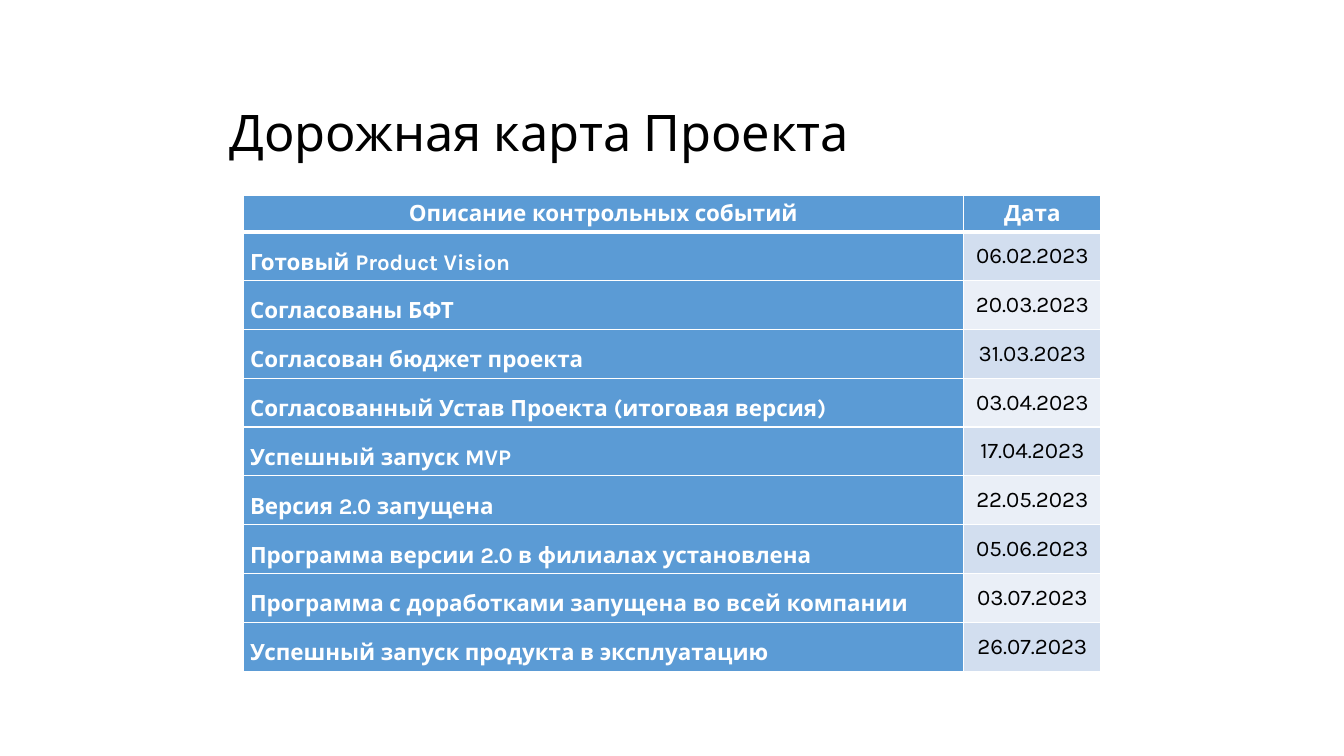
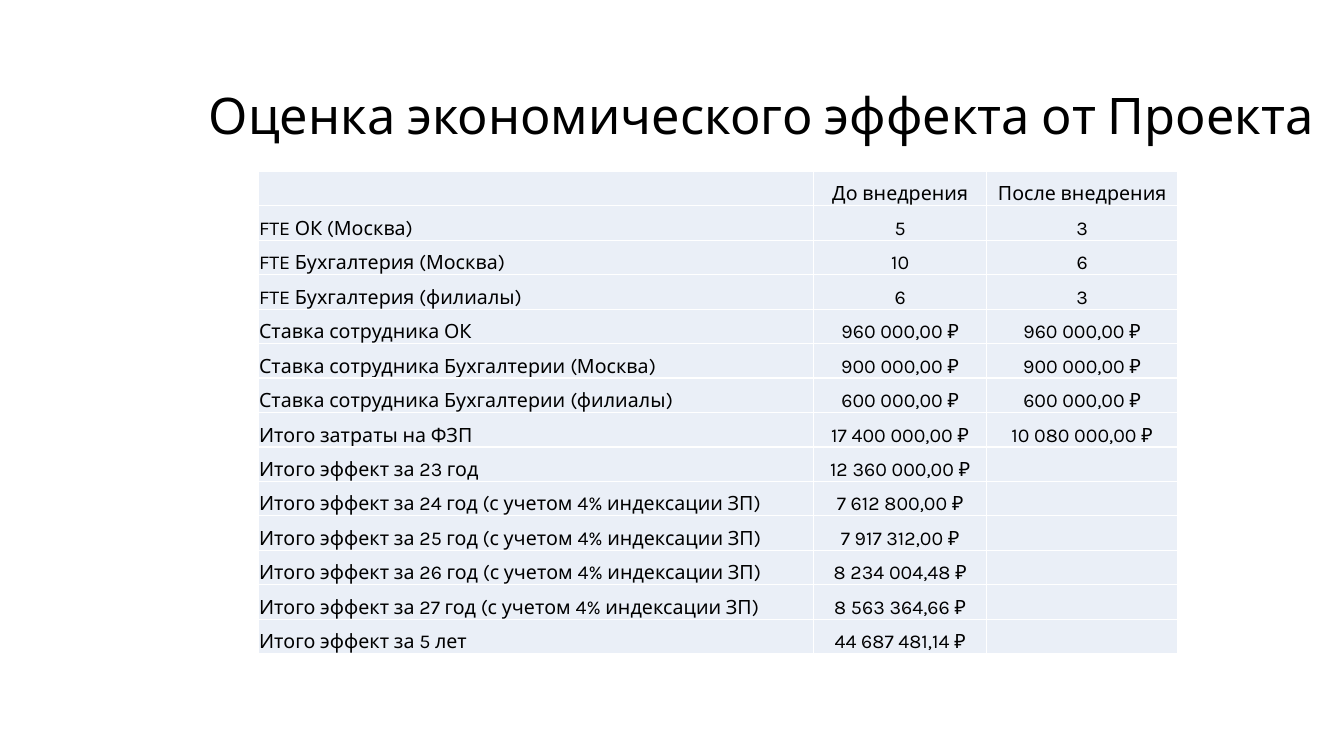
from lxml import etree
from pptx import Presentation
from pptx.dml.color import RGBColor
from pptx.enum.text import MSO_ANCHOR, PP_ALIGN
from pptx.oxml.ns import qn
from pptx.util import Inches, Pt

LEFT, CENTER = PP_ALIGN.LEFT, PP_ALIGN.CENTER
TOP, MIDDLE, BOTTOM = MSO_ANCHOR.TOP, MSO_ANCHOR.MIDDLE, MSO_ANCHOR.BOTTOM
FONT = "Karla"
COLORS = {
    "text": "000000",
    "white": "FFFFFF",
    "head": "5B9BD5",
    "band": "D2DEEF",
    "pale": "EAEFF7",
}

prs = Presentation()
prs.slide_width, prs.slide_height = Inches(13.33), Inches(7.5)
COL, ROW = prs.slide_width / 100, prs.slide_height / 100
blank = prs.slide_layouts[6]


def write(p, text, size, color, bold=False, align=LEFT, spacing=1.0):
    p.text = text
    p.alignment = align
    p.line_spacing = spacing
    p.font.name, p.font.size, p.font.bold = FONT, Pt(size), bold
    p.font.color.rgb = RGBColor.from_string(COLORS[color])


def style_cell(cell, fill, anchor, margins, top=1, bottom=1):
    cell.fill.solid()
    cell.fill.fore_color.rgb = RGBColor.from_string(COLORS[fill])
    cell.vertical_anchor = anchor
    cell.margin_left = cell.margin_right = Inches(margins[0])
    cell.margin_top, cell.margin_bottom = Inches(margins[1]), 0
    tc_pr = cell._tc.get_or_add_tcPr()
    sides = (("a:lnL", 1), ("a:lnR", 1), ("a:lnT", top), ("a:lnB", bottom))
    for i, (tag, width) in enumerate(sides):
        ln = etree.Element(qn(tag), w=str(Pt(width)))
        solid = etree.SubElement(ln, qn("a:solidFill"))
        etree.SubElement(solid, qn("a:srgbClr"), val=COLORS["white"])
        tc_pr.insert(i, ln)


milestones = [
    ("Описание контрольных событий", "Дата"),
    ("Готовый Product Vision", "06.02.2023"),
    ("Согласованы БФТ", "20.03.2023"),
    ("Согласован бюджет проекта", "31.03.2023"),
    ("Согласованный Устав Проекта (итоговая версия)", "03.04.2023"),
    ("Успешный запуск MVP", "17.04.2023"),
    ("Версия 2.0 запущена", "22.05.2023"),
    ("Программа версии 2.0 в филиалах установлена", "05.06.2023"),
    ("Программа с доработками запущена во всей компании", "03.07.2023"),
    ("Успешный запуск продукта в эксплуатацию", "26.07.2023"),
]
effects = [
    ("", "До внедрения", "После внедрения"),
    ("FTE ОК (Москва)", "5", "3"),
    ("FTE Бухгалтерия (Москва)", "10", "6"),
    ("FTE Бухгалтерия (филиалы)", "6", "3"),
    ("Ставка сотрудника ОК", "960 000,00 ₽", "960 000,00 ₽"),
    ("Ставка сотрудника Бухгалтерии (Москва)", "900 000,00 ₽", "900 000,00 ₽"),
    ("Ставка сотрудника Бухгалтерии (филиалы)", "600 000,00 ₽", "600 000,00 ₽"),
    ("Итого затраты на ФЗП", "17 400 000,00 ₽", "10 080 000,00 ₽"),
    ("Итого эффект за 23 год", "12 360 000,00 ₽", ""),
    ("Итого эффект за 24 год (с учетом 4% индексации ЗП)", "7 612 800,00 ₽", ""),
    ("Итого эффект за 25 год (с учетом 4% индексации ЗП)", "7 917 312,00 ₽", ""),
    ("Итого эффект за 26 год (с учетом 4% индексации ЗП)", "8 234 004,48 ₽", ""),
    ("Итого эффект за 27 год (с учетом 4% индексации ЗП)", "8 563 364,66 ₽", ""),
    ("Итого эффект за 5 лет", "44 687 481,14 ₽", ""),
]
pages = [
    {
        "title": "Дорожная карта Проекта",
        "box": (16.35, 10.13, 67.5, 15.6),
        "anchor": MIDDLE, "indent": 0.1, "spacing": 0.9,
        "rows": milestones,
        "at": (18.08, 25.87),
        "cols": (53.63, 10.2),
        "heights": [4.8] + [6.46] * 9,
    },
    {
        "title": "Оценка экономического эффекта от Проекта",
        "box": (11.03, 9.87, 88.97, 10),
        "anchor": TOP, "indent": 0.6, "spacing": 1.07,
        "rows": effects,
        "at": (19.2, 22.67),
        "cols": (41.33, 12.9, 14.18),
        "heights": [4.56] * 14,
    },
]

tables = []
for page in pages:
    slide = prs.slides.add_slide(blank)
    x, y, w, h = page["box"]
    sp = slide.shapes.add_textbox(int(x * COL), int(y * ROW), int(w * COL), int(h * ROW))
    tf = sp.text_frame
    tf.word_wrap = True
    tf.vertical_anchor = page["anchor"]
    tf.margin_left = Inches(page["indent"])
    write(tf.paragraphs[0], page["title"], 36, "text", spacing=page["spacing"])

    x, y = page["at"]
    cols, heights = page["cols"], page["heights"]
    table = slide.shapes.add_table(
        len(heights), len(cols), int(x * COL), int(y * ROW),
        int(sum(cols) * COL), int(sum(heights) * ROW),
    ).table
    table.first_row = table.horz_banding = False
    for column, width in zip(table.columns, cols):
        column.width = int(width * COL)
    for row, height in zip(table.rows, heights):
        row.height = int(height * ROW)
    tables.append(table)

roadmap, economics = tables
for i, texts in enumerate(milestones):
    for j, text in enumerate(texts):
        cell = roadmap.cell(i, j)
        strong = i == 0 or j == 0
        fill = "head" if strong else "band" if i % 2 else "pale"
        style_cell(cell, fill, MIDDLE, (0.07, 0),
                   top=3 if i == 1 else 1, bottom=3 if i == 0 else 1)
        event = i > 0 and j == 0
        write(cell.text_frame.paragraphs[0], text, 16, "white" if strong else "text",
              strong, LEFT if event else CENTER, 1.5 if event else 1.0)

for i, texts in enumerate(effects):
    for j, text in enumerate(texts):
        cell = economics.cell(i, j)
        style_cell(cell, "pale", BOTTOM, (0.01, 0.01))
        write(cell.text_frame.paragraphs[0], text, 14, "text", align=CENTER if j else LEFT)

prs.save("out.pptx")
